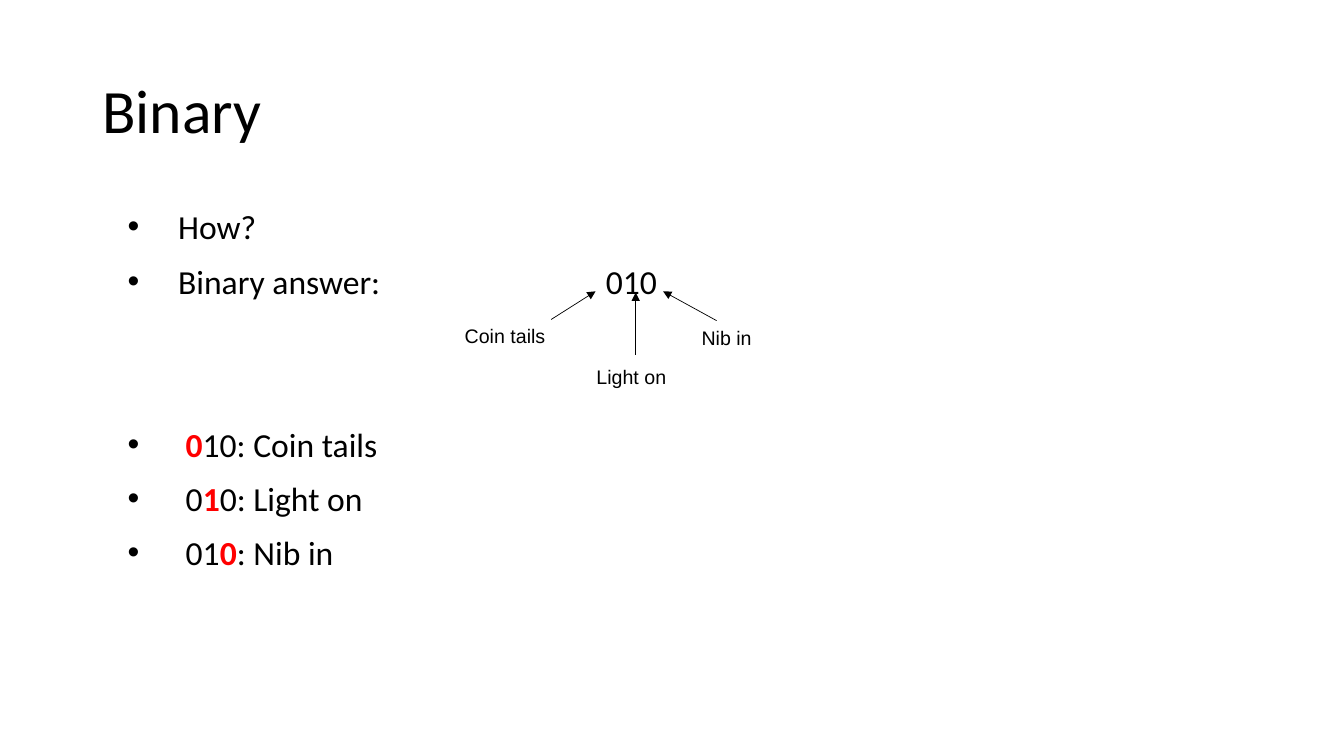
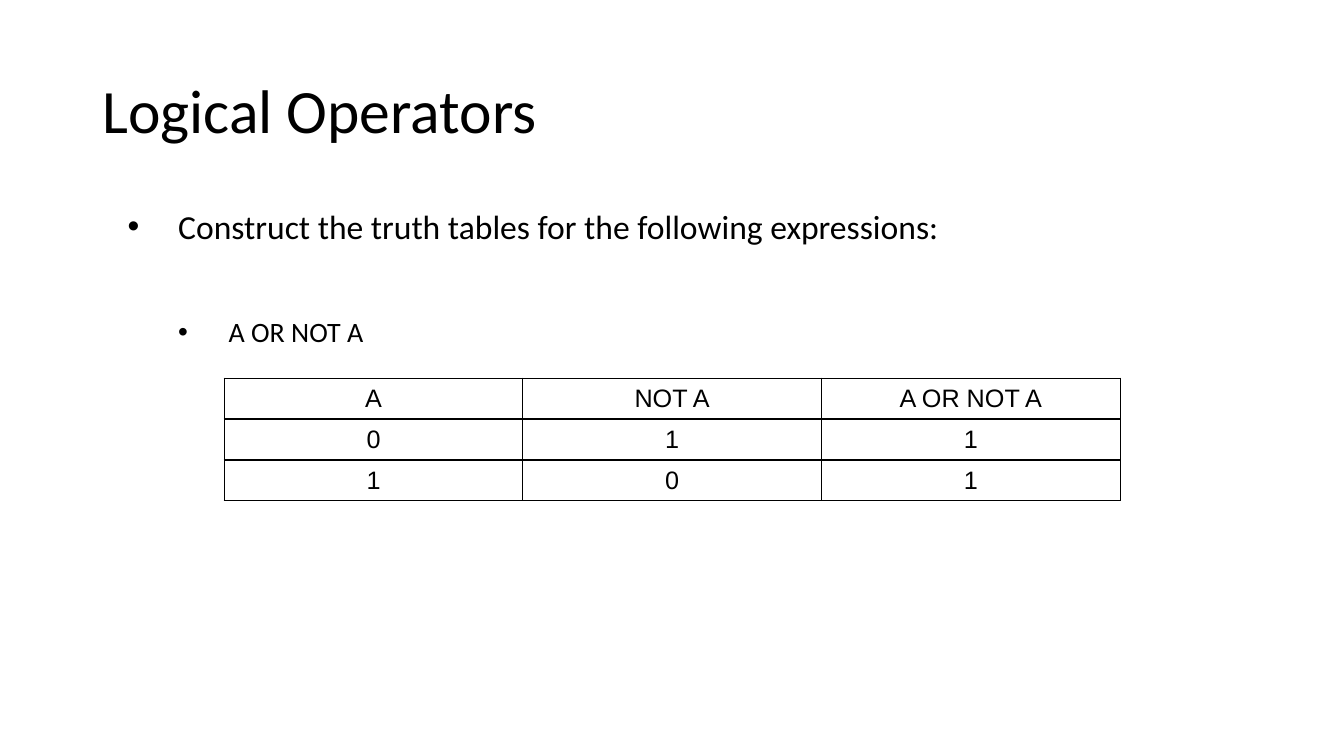
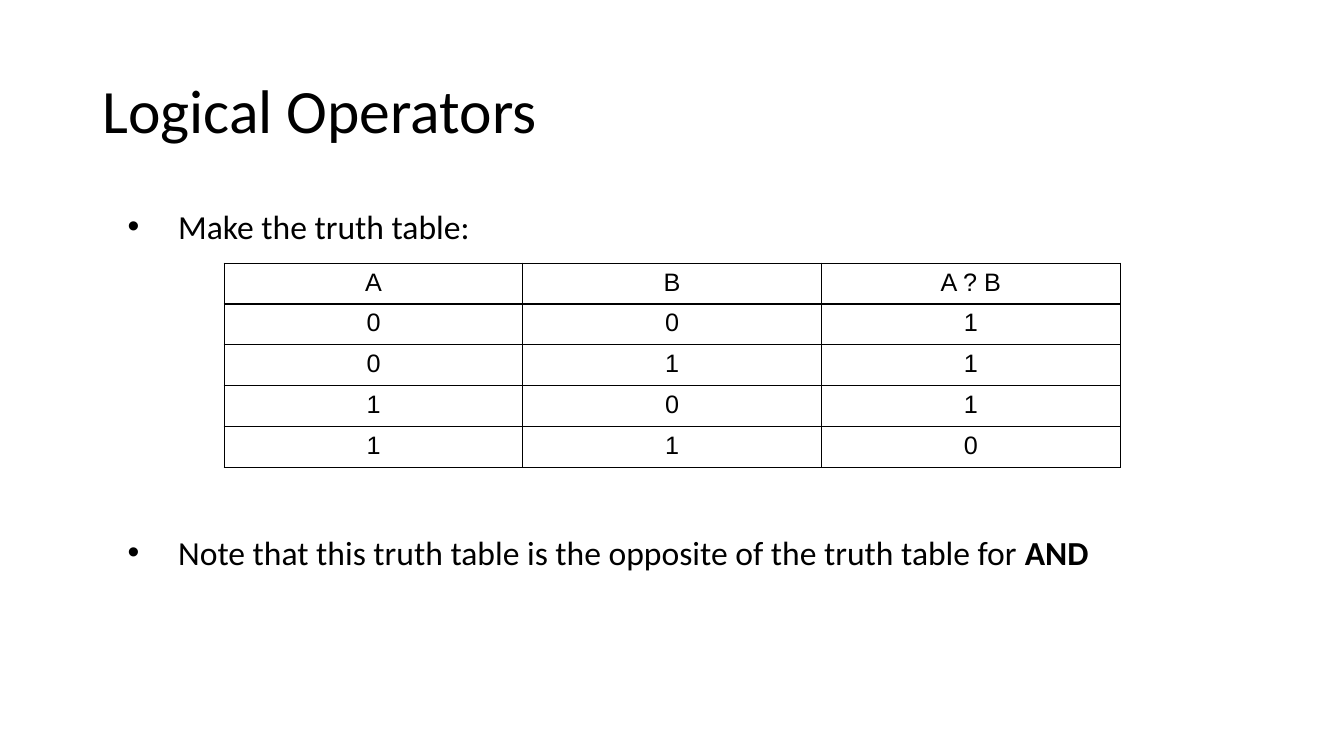
import dataclasses

import lxml.etree
import pptx
import pptx.dml.color
import pptx.enum.shapes
import pptx.enum.text
import pptx.oxml.ns
import pptx.util

Cm, Pt = pptx.util.Cm, pptx.util.Pt
qn = pptx.oxml.ns.qn
RGB = pptx.dml.color.RGBColor
ANCHOR = pptx.enum.text.MSO_ANCHOR


@dataclasses.dataclass(frozen=True)
class Theme:
    ink: RGB = RGB(0, 0, 0)
    accent: RGB = RGB(255, 0, 0)
    main_font: str = "Calibri"
    label_font: str = "Arial"
    title_size: int = 44
    body_size: int = 24
    sub_size: int = 20
    table_size: int = 18
    label_size: int = 14
    title_spacing: float = 0.9
    paragraph_gap: int = 10
    line_pitch: float = 38.8  # one body line with its gap
    arrow_width: float = 0.5
    border_width: int = 1


theme = Theme()


def add_runs(paragraph, runs, size, font):
    """Each run is (text, style); style is "", "bold" or "accent"."""
    for text, style in runs:
        run = paragraph.add_run()
        run.text = text
        run.font.size = Pt(size)
        run.font.name = font
        run.font.bold = style != ""
        run.font.color.rgb = theme.accent if style == "accent" else theme.ink


def add_text_frame(slide, left, top, width, height, anchor=ANCHOR.TOP):
    frame = slide.shapes.add_textbox(Cm(left), Cm(top), Cm(width), Cm(height)).text_frame
    frame.word_wrap = True
    frame.vertical_anchor = anchor
    return frame


# Content: a bullet is (level, skipped lines before it, runs)
lessons = [
    {
        "title": "Binary",
        "body_width": 29.21,
        "bullets": [
            (0, 0, [("How?", "")]),
            (0, 0, [("Binary answer:", "")]),
            (0, 2, [(" ", "bold"), ("0", "accent"), ("10: Coin tails", "")]),
            (0, 0, [(" 0", ""), ("1", "accent"), ("0: Light on", "")]),
            (0, 0, [(" 01", ""), ("0", "accent"), (": Nib in", "")]),
        ],
        "answer": "010",
        # text, label left and top, arrow start, arrow tip
        "callouts": [
            ("Coin tails", 11.46, 8.05, (13.89, 8.05), (15.01, 7.34)),
            ("Light on", 14.78, 9.07, (16.02, 8.94), (16.02, 7.37)),
            ("Nib in", 17.43, 8.08, (18.06, 8.08), (16.71, 7.34)),
        ],
    },
    {
        "title": "Logical Operators",
        "body_width": 27.91,
        "bullets": [
            (0, 0, [("Construct the truth tables for the following expressions:", "")]),
            (1, 1, [("A OR NOT A", "")]),
        ],
        "table_top": 9.53,
        "cell_anchor": ANCHOR.MIDDLE,
        "truth_table": [("A", "NOT A", "A OR NOT A"), "011", "101"],
    },
    {
        "title": "Logical Operators",
        "body_width": 29.21,
        "bullets": [
            (0, 0, [("Make the truth table:", "")]),
            (0, 5, [("Note that this truth table is the opposite of the truth table for ", ""),
                    ("AND", "bold")]),
        ],
        "table_top": 6.63,
        "cell_anchor": ANCHOR.TOP,
        "truth_table": [("A", "B", "A ? B"), "001", "011", "101", "110"],
    },
]

deck = pptx.Presentation()
deck.slide_width, deck.slide_height = Cm(33.87), Cm(19.05)
blank = deck.slide_layouts[6]

for lesson in lessons:
    slide = deck.slides.add_slide(blank)

    # Title
    title = add_text_frame(slide, 2.33, 1.01, 29.21, 3.68, ANCHOR.MIDDLE).paragraphs[0]
    title.line_spacing = theme.title_spacing
    add_runs(title, [(lesson["title"], "")], theme.title_size, theme.main_font)

    # Bullets
    body = add_text_frame(slide, 2.33, 5.07, lesson["body_width"], 12.09)
    for number, (level, skipped, runs) in enumerate(lesson["bullets"]):
        bullet = body.add_paragraph() if number else body.paragraphs[0]
        bullet.level = level
        if number:
            bullet.space_before = Pt(theme.paragraph_gap + skipped * theme.line_pitch)
        properties = bullet._p.get_or_add_pPr()
        properties.set("marL", str(Cm(1.91 + 1.27 * level)))
        properties.set("indent", str(Cm(-1.27)))
        lxml.etree.SubElement(properties, qn("a:buFont"), typeface=theme.label_font)
        lxml.etree.SubElement(properties, qn("a:buChar"), char="•")
        add_runs(bullet, runs, theme.sub_size if level else theme.body_size, theme.main_font)

    # Binary answer, level with the second bullet
    if "answer" in lesson:
        answer = add_text_frame(slide, 15.02, 6.45, 2.5, 1.54)
        add_runs(answer.paragraphs[0], [(lesson["answer"], "")],
                 theme.body_size, theme.main_font)

    # Callouts with arrows to the digits
    for text, left, top, start, tip in lesson.get("callouts", []):
        label = add_text_frame(slide, left, top, 3.02, 0.86)
        add_runs(label.paragraphs[0], [(text, "")], theme.label_size, theme.label_font)
        arrow = slide.shapes.add_connector(
            pptx.enum.shapes.MSO_CONNECTOR.STRAIGHT, *map(Cm, start + tip))
        arrow.line.color.rgb = theme.ink
        arrow.line.width = Pt(theme.arrow_width)
        lxml.etree.SubElement(arrow.line._get_or_add_ln(), qn("a:tailEnd"), type="triangle")
        lxml.etree.SubElement(arrow._element.spPr, qn("a:effectLst"))

    # Truth table
    rows = lesson.get("truth_table")
    if not rows:
        continue
    table = slide.shapes.add_table(
        len(rows), 3, Cm(5.65), Cm(lesson["table_top"]), Cm(22.58), Cm(1.03 * len(rows))).table
    table.first_row = table.horz_banding = False
    for row, values in enumerate(rows):
        for column, value in enumerate(values):
            cell = table.cell(row, column)
            cell.vertical_anchor = lesson["cell_anchor"]
            paragraph = cell.text_frame.paragraphs[0]
            paragraph.alignment = pptx.enum.text.PP_ALIGN.CENTER
            add_runs(paragraph, [(value, "")], theme.table_size, theme.label_font)
            borders = cell._tc.get_or_add_tcPr()
            for side in ("a:lnL", "a:lnR", "a:lnT", "a:lnB"):
                line = lxml.etree.SubElement(borders, qn(side), w=str(Pt(theme.border_width)))
                fill = lxml.etree.SubElement(line, qn("a:solidFill"))
                lxml.etree.SubElement(fill, qn("a:srgbClr"), val=str(theme.ink))
            cell.fill.background()

deck.save("out.pptx")
